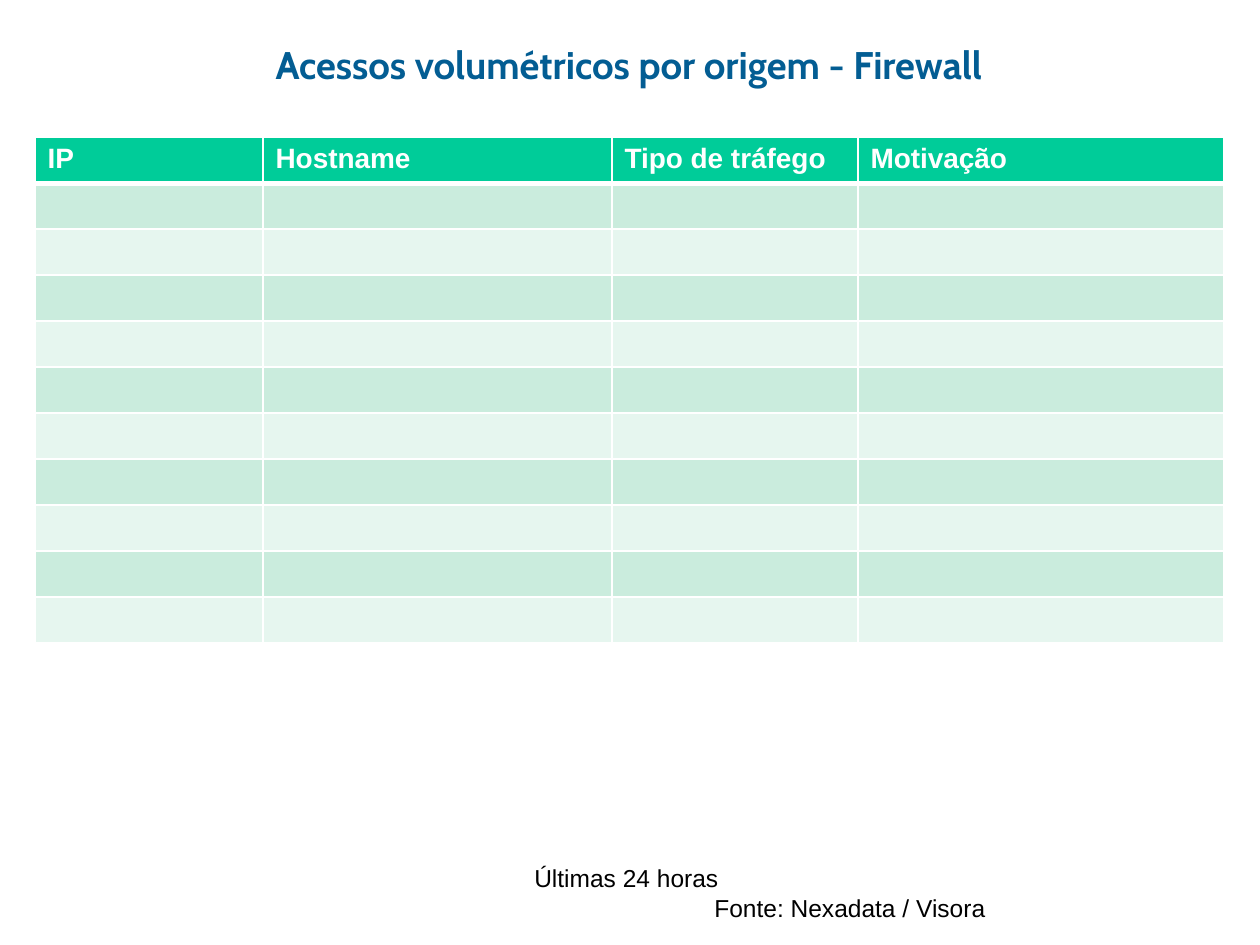
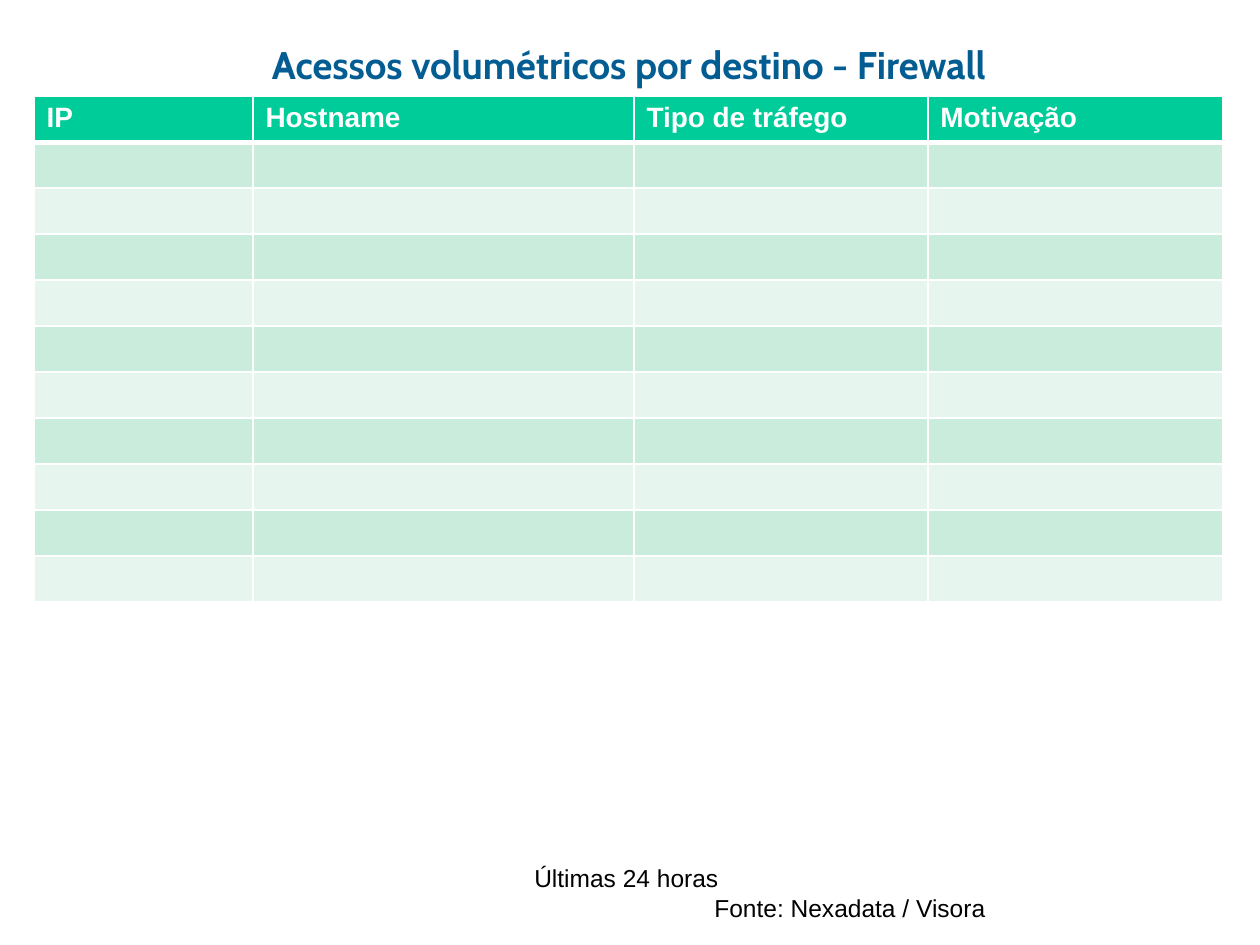
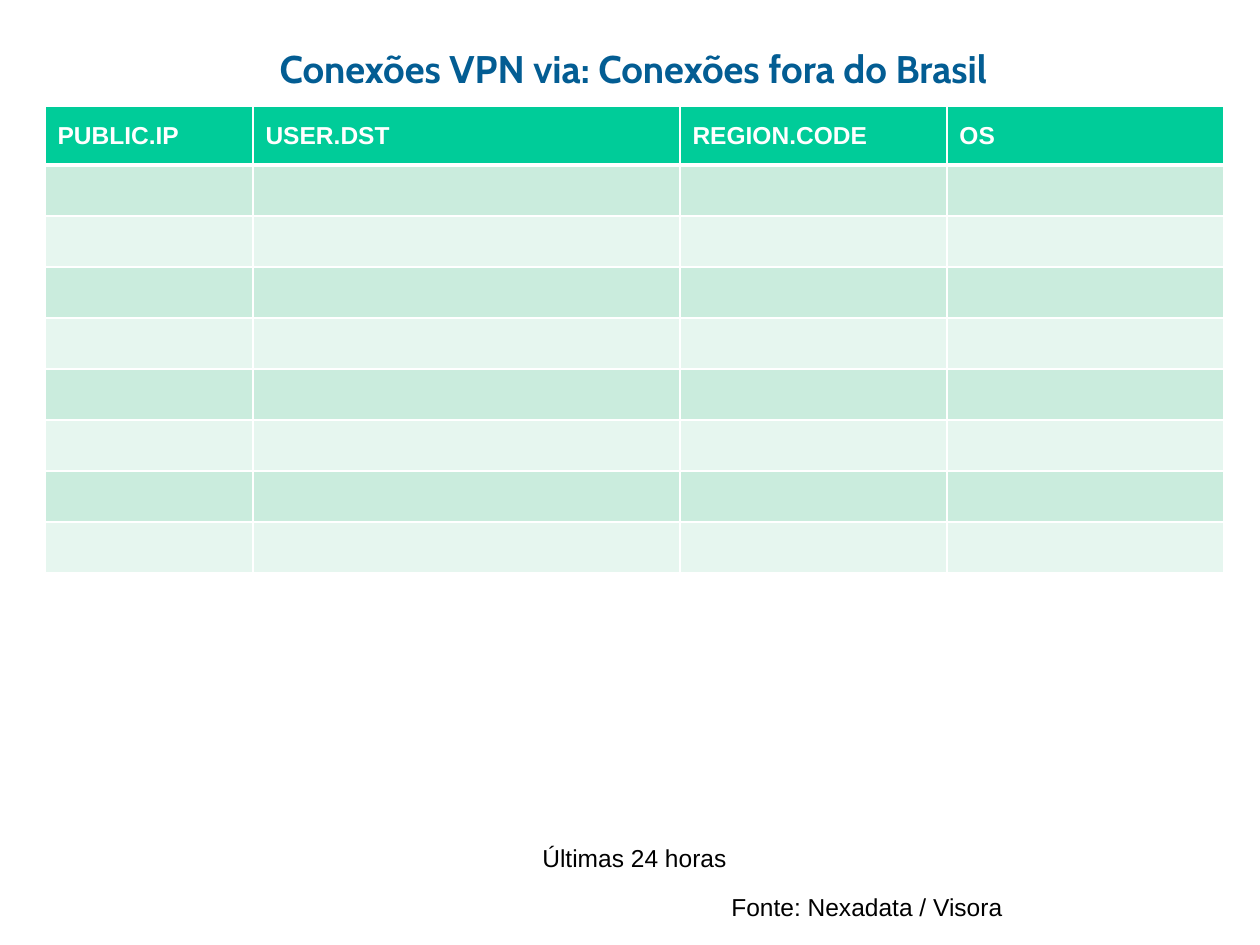
from pptx import Presentation
from pptx import util as u
from pptx.dml.color import RGBColor
from pptx.enum import text
from pptx.oxml import parse_xml
from pptx.oxml.ns import nsdecls

SCALE = 914400 // 126
COLORS = {"title": "035D93", "header": "00CC99", "odd": "CAECDD",
          "even": "E6F6EF", "white": "FFFFFF", "text": "000000"}
LEFT, CENTER = text.PP_ALIGN.LEFT, text.PP_ALIGN.CENTER
TOP, MIDDLE = text.MSO_ANCHOR.TOP, text.MSO_ANCHOR.MIDDLE

TRAFFIC_HEADERS = ["IP", "Hostname", "Tipo de tráfego", "Motivação"]
TRAFFIC_FOOTERS = {"period": (438, 857, CENTER), "source": (702, 887, LEFT)}

SLIDES = [
    {"title": "Acessos volumétricos por origem - Firewall",
     "title_box": (91, 35, 1076, 55), "footers": TRAFFIC_FOOTERS,
     "headers": TRAFFIC_HEADERS, "size": 16, "anchors": [TOP] * 4,
     "corner": (35, 137), "columns": [228, 349, 246, 366],
     "rows": [46] * 11},
    {"title": "Acessos volumétricos por destino - Firewall",
     "title_box": (91, 35, 1076, 55), "footers": TRAFFIC_FOOTERS,
     "headers": TRAFFIC_HEADERS, "size": 16, "anchors": [TOP] * 4,
     "corner": (34, 96), "columns": [219, 381, 294, 295],
     "rows": [46] * 11},
    {"title": "Conexões VPN via: Conexões fora do Brasil",
     "title_box": (78, 39, 1111, 78),
     "footers": {"period": (530, 837, LEFT), "source": (719, 886, LEFT)},
     "headers": ["PUBLIC.IP", "USER.DST", "REGION.CODE", "OS"],
     "size": 14, "anchors": [TOP, MIDDLE, TOP, MIDDLE],
     "corner": (45, 106), "columns": [208, 427, 267, 277],
     "rows": [58] + [51] * 8},
]
FOOTERS = {"period": ("Últimas 24 horas", 377),
           "source": ("Fonte: Nexadata / Visora", 465)}


def write(frame, words, size, color, name="Arial", bold=False, align=LEFT):
    frame.word_wrap = True
    para = frame.paragraphs[0]
    para.text = words
    para.alignment = align
    para.font.size = u.Pt(size)
    para.font.name = name
    para.font.bold = bold
    para.font.color.rgb = RGBColor.from_string(COLORS[color])
    return para


def add_text(page, bounds, *args, **style):
    box = page.shapes.add_textbox(*[value * SCALE for value in bounds])
    write(box.text_frame, *args, **style)


deck = Presentation()
deck.slide_width = 1260 * SCALE
deck.slide_height = 945 * SCALE

for content in SLIDES:
    page = deck.slides.add_slide(deck.slide_layouts[6])
    add_text(page, content["title_box"], content["title"], 22, "title",
             name="Cabin", bold=True, align=CENTER)
    for key, (words, width) in FOOTERS.items():
        left, top, align = content["footers"][key]
        add_text(page, (left, top, width, 43), words, 14, "text", align=align)

    columns, rows = content["columns"], content["rows"]
    bounds = (*content["corner"], sum(columns), sum(rows))
    table = page.shapes.add_table(
        len(rows), len(columns), *[value * SCALE for value in bounds]).table
    for column, width in zip(table.columns, columns):
        column.width = width * SCALE

    for row_index, height in enumerate(rows):
        table.rows[row_index].height = height * SCALE
        fill = "header" if row_index == 0 else "odd" if row_index % 2 else "even"
        for column_index, words in enumerate(content["headers"]):
            cell = table.cell(row_index, column_index)
            properties = cell._tc.get_or_add_tcPr()
            for side in "LRTB":
                thick = (row_index, side) in [(0, "B"), (1, "T")]
                properties.append(parse_xml(
                    f'<a:ln{side} {nsdecls("a")} w="{u.Pt(3 if thick else 1)}">'
                    f'<a:solidFill><a:srgbClr val="{COLORS["white"]}"/></a:solidFill>'
                    f'</a:ln{side}>'))
            cell.fill.solid()
            cell.fill.fore_color.rgb = RGBColor.from_string(COLORS[fill])
            if row_index > 0:
                cell.margin_top = cell.margin_bottom = 0
                continue
            para = write(cell.text_frame, words, content["size"], "white", bold=True)
            cell.vertical_anchor = content["anchors"][column_index]
            if content["size"] == 14 and cell.vertical_anchor == TOP:
                cell.margin_top = cell.margin_bottom = u.Inches(0.1)
                para.line_spacing = 1.15

deck.save("out.pptx")
